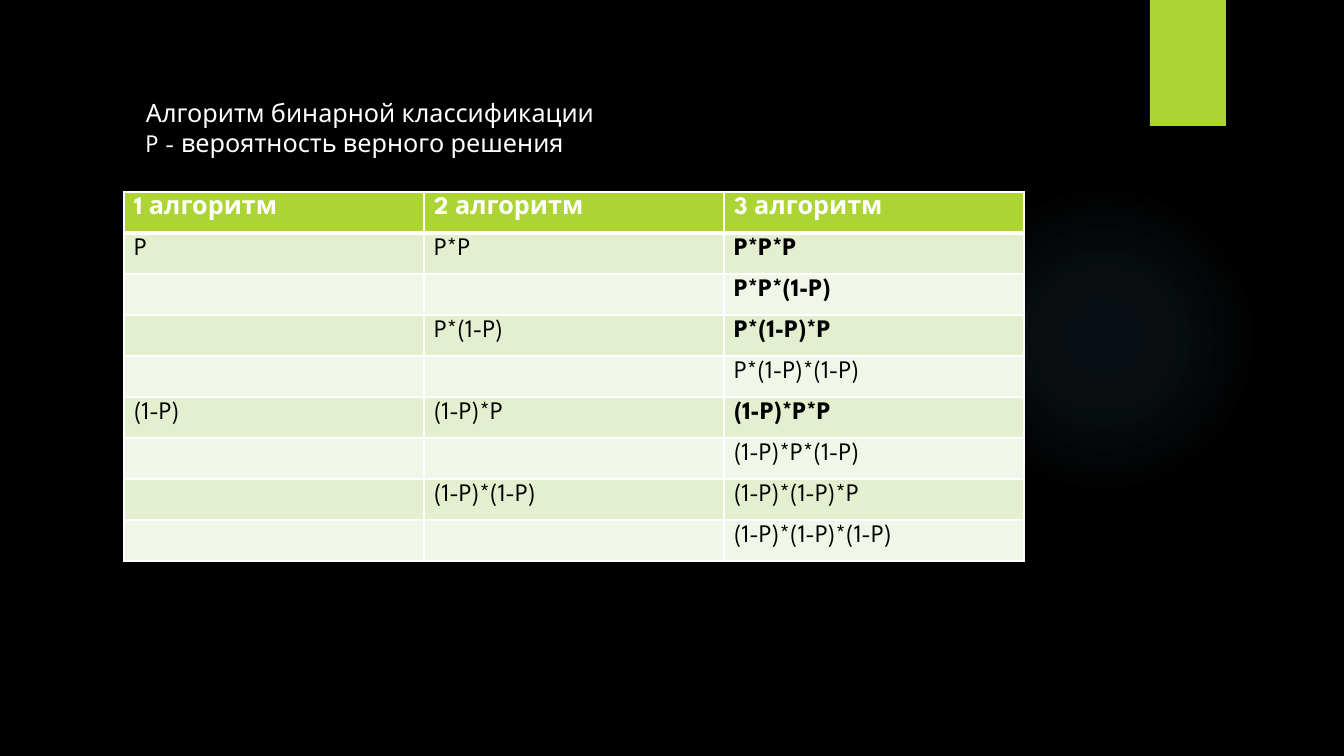
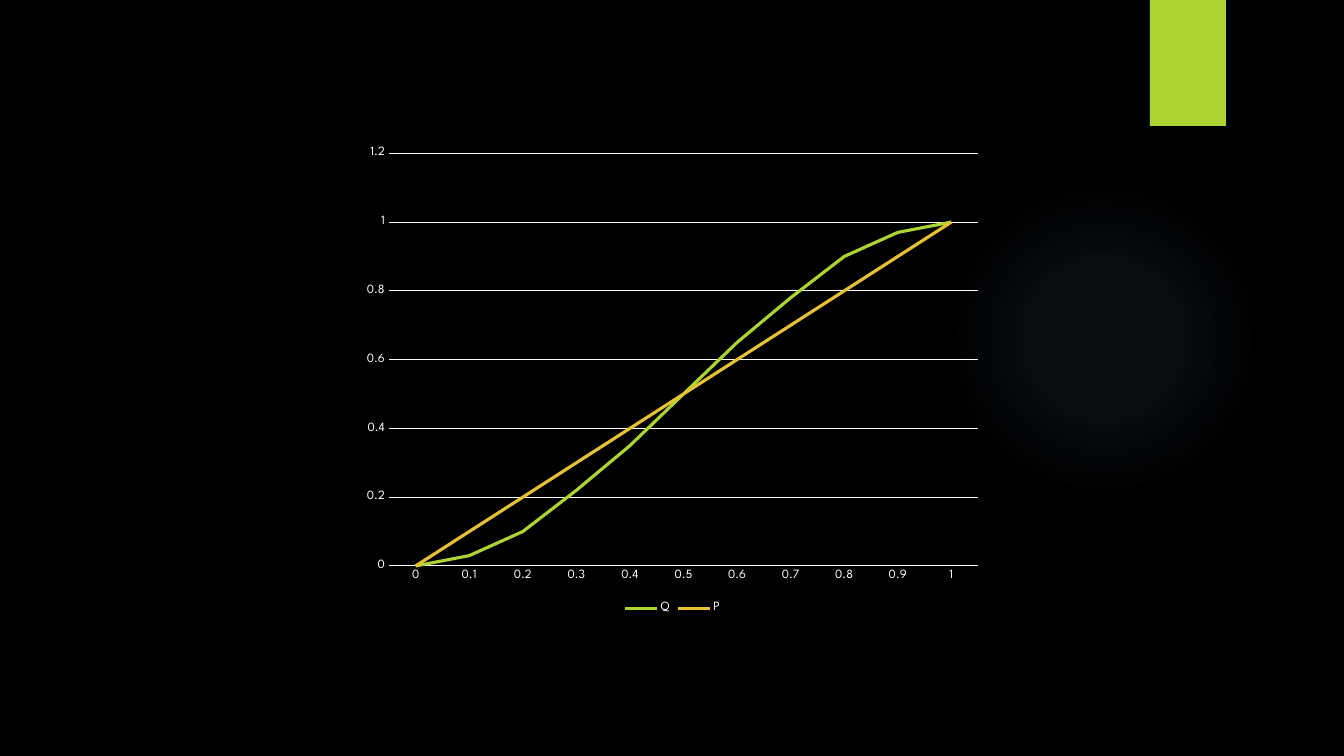
import pptx
import pptx.chart.data
import pptx.dml.color
import pptx.enum.chart
import pptx.enum.shapes
import pptx.enum.text
import pptx.oxml
import pptx.oxml.ns
import pptx.util

EMU_PER_PX = 914400 / 100.8
FONT = "League Spartan"
BLACK, WHITE = "000000", "FFFFFF"
GREEN, GOLD, GLOW = "ACD433", "E6C133", "7AC4F0"
ROW_FILLS = ("E3EFCE", "F1F7E8")


def px(*lengths):
    return [pptx.util.Emu(round(length * EMU_PER_PX)) for length in lengths]


def color(hex_string):
    return pptx.dml.color.RGBColor.from_string(hex_string)


def xml(text):
    namespaces = pptx.oxml.ns.nsdecls("a")
    return pptx.oxml.parse_xml(text.replace(">", f" {namespaces}>", 1))


class Deck:
    """Holds the shared style and the current slide."""

    def __init__(self):
        self.presentation = pptx.Presentation()
        (self.presentation.slide_width,
         self.presentation.slide_height) = px(1344, 756)
        self.slide = None

    def new_slide(self):
        layout = self.presentation.slide_layouts[6]
        self.slide = self.presentation.slides.add_slide(layout)
        background = self.slide.background.fill
        background.solid()
        background.fore_color.rgb = color(BLACK)
        self.glow(949, 184, 310)
        self.rectangle(1150, 0, 76, 126, GREEN)

    def style_font(self, font, size, hex_string, bold=False):
        font.name = FONT
        font.size = pptx.util.Pt(size)
        font.color.rgb = color(hex_string)
        font.bold = bold

    def shape(self, kind, left, top, width, height):
        shape = self.slide.shapes.add_shape(kind, *px(left, top, width, height))
        shape.shadow.inherit = False
        shape.line.fill.background()
        return shape

    def rectangle(self, left, top, width, height, fill):
        shape = self.shape(pptx.enum.shapes.MSO_SHAPE.RECTANGLE,
                           left, top, width, height)
        shape.fill.solid()
        shape.fill.fore_color.rgb = color(fill)

    def glow(self, left, top, size):
        shape = self.shape(pptx.enum.shapes.MSO_SHAPE.OVAL,
                           left, top, size, size)
        shape.fill.background()
        stops = "".join(
            f'<a:gs pos="{position}000"><a:srgbClr val="{GLOW}">'
            f'<a:alpha val="{alpha}000"/></a:srgbClr></a:gs>'
            for position, alpha in ((0, 7), (36, 6), (69, 0)))
        gradient = xml(
            f'<a:gradFill><a:gsLst>{stops}</a:gsLst><a:path path="circle">'
            '<a:fillToRect l="50000" t="50000" r="50000" b="50000"/>'
            '</a:path></a:gradFill>')
        properties = shape.element.spPr
        properties.replace(
            properties.find(pptx.oxml.ns.qn("a:noFill")), gradient)

    def text(self, left, top, width, height, lines):
        box = self.slide.shapes.add_textbox(*px(left, top, width, height))
        frame = box.text_frame
        frame.word_wrap = True
        frame.auto_size = pptx.enum.text.MSO_AUTO_SIZE.SHAPE_TO_FIT_TEXT
        frame.text = "\n".join(lines)
        for paragraph in frame.paragraphs:
            for run in paragraph.runs:
                self.style_font(run.font, 18, WHITE)

    def cell_borders(self, cell, **widths):
        properties = cell._tc.get_or_add_tcPr()
        for index, side in enumerate("LRTB"):
            width = pptx.util.Pt(widths.get(side, 1))
            properties.insert(index, xml(
                f'<a:ln{side} w="{width}"><a:solidFill>'
                f'<a:srgbClr val="{WHITE}"/></a:solidFill></a:ln{side}>'))

    def table(self, left, top, column_width, row_height, rows, bold_cells):
        column_count = len(rows[0])
        table = self.slide.shapes.add_table(
            len(rows), column_count,
            *px(left, top, column_width * column_count,
                row_height * len(rows))).table
        for row_index, row in enumerate(rows):
            header = row_index == 0
            for column_index, text in enumerate(row):
                cell = table.cell(row_index, column_index)
                cell.fill.solid()
                cell.fill.fore_color.rgb = color(
                    GREEN if header else ROW_FILLS[(row_index - 1) % 2])
                cell.text_frame.text = text
                for run in cell.text_frame.paragraphs[0].runs:
                    self.style_font(run.font, 18, WHITE if header else BLACK,
                                    header or text in bold_cells)
                self.cell_borders(cell, B=3 if header else 1,
                                  T=3 if row_index == 1 else 1)

    def line_chart(self, left, top, width, height, categories, series):
        data = pptx.chart.data.CategoryChartData()
        data.categories = categories
        for name, values, _ in series:
            data.add_series(name, values)
        chart = self.slide.shapes.add_chart(
            pptx.enum.chart.XL_CHART_TYPE.LINE,
            *px(left, top, width, height), data).chart
        chart.has_title = False
        self.style_font(chart.font, 10, WHITE)

        # Legend
        chart.has_legend = True
        chart.legend.position = pptx.enum.chart.XL_LEGEND_POSITION.BOTTOM
        chart.legend.include_in_layout = False
        self.style_font(chart.legend.font, 9, WHITE)

        # Axes
        for axis in (chart.category_axis, chart.value_axis):
            axis.major_tick_mark = pptx.enum.chart.XL_TICK_MARK.NONE
            axis.minor_tick_mark = pptx.enum.chart.XL_TICK_MARK.NONE
            self.style_font(axis.tick_labels.font, 9, WHITE)
        chart.value_axis.format.line.fill.background()
        chart.value_axis.minimum_scale = 0
        chart.value_axis.maximum_scale = 1.2
        chart.value_axis.major_unit = 0.2
        for line in (chart.category_axis.format.line,
                     chart.value_axis.major_gridlines.format.line):
            line.color.rgb = color(WHITE)
            line.width = pptx.util.Pt(0.75)

        # Curves
        plot = chart.plots[0]
        plot.vary_by_categories = False
        for curve, (_, _, hex_string) in zip(plot.series, series):
            curve.smooth = False
            curve.marker.style = pptx.enum.chart.XL_MARKER_STYLE.NONE
            curve.format.line.color.rgb = color(hex_string)
            curve.format.line.width = pptx.util.Pt(2.25)


def main():
    deck = Deck()

    # Slide 1: probabilities for three algorithms
    deck.new_slide()
    deck.text(136, 92, 540, 72, [
        "Алгоритм бинарной классификации",
        "P - вероятность верного решения"])
    deck.table(124, 192, 300, 41, [
        ("1 алгоритм", "2 алгоритм", "3 алгоритм"),
        ("P", "P*P", "P*P*P"),
        ("", "", "P*P*(1-P)"),
        ("", "P*(1-P)", "P*(1-P)*P"),
        ("", "", "P*(1-P)*(1-P)"),
        ("(1-P)", "(1-P)*P", "(1-P)*P*P"),
        ("", "", "(1-P)*P*(1-P)"),
        ("", "(1-P)*(1-P)", "(1-P)*(1-P)*P"),
        ("", "", "(1-P)*(1-P)*(1-P)"),
    ], {"P*P*P", "P*P*(1-P)", "P*(1-P)*P", "(1-P)*P*P"})

    # Slide 2: majority decision Q against a single decision P
    deck.new_slide()
    single = [step / 10 for step in range(11)]
    majority = [round(p * p * (3 - 2 * p), 2) for p in single]
    deck.line_chart(354, 138, 637, 480, [f"{p:g}" for p in single],
                    [("Q", majority, GREEN), ("P", single, GOLD)])

    deck.presentation.save("out.pptx")


if __name__ == "__main__":
    main()
